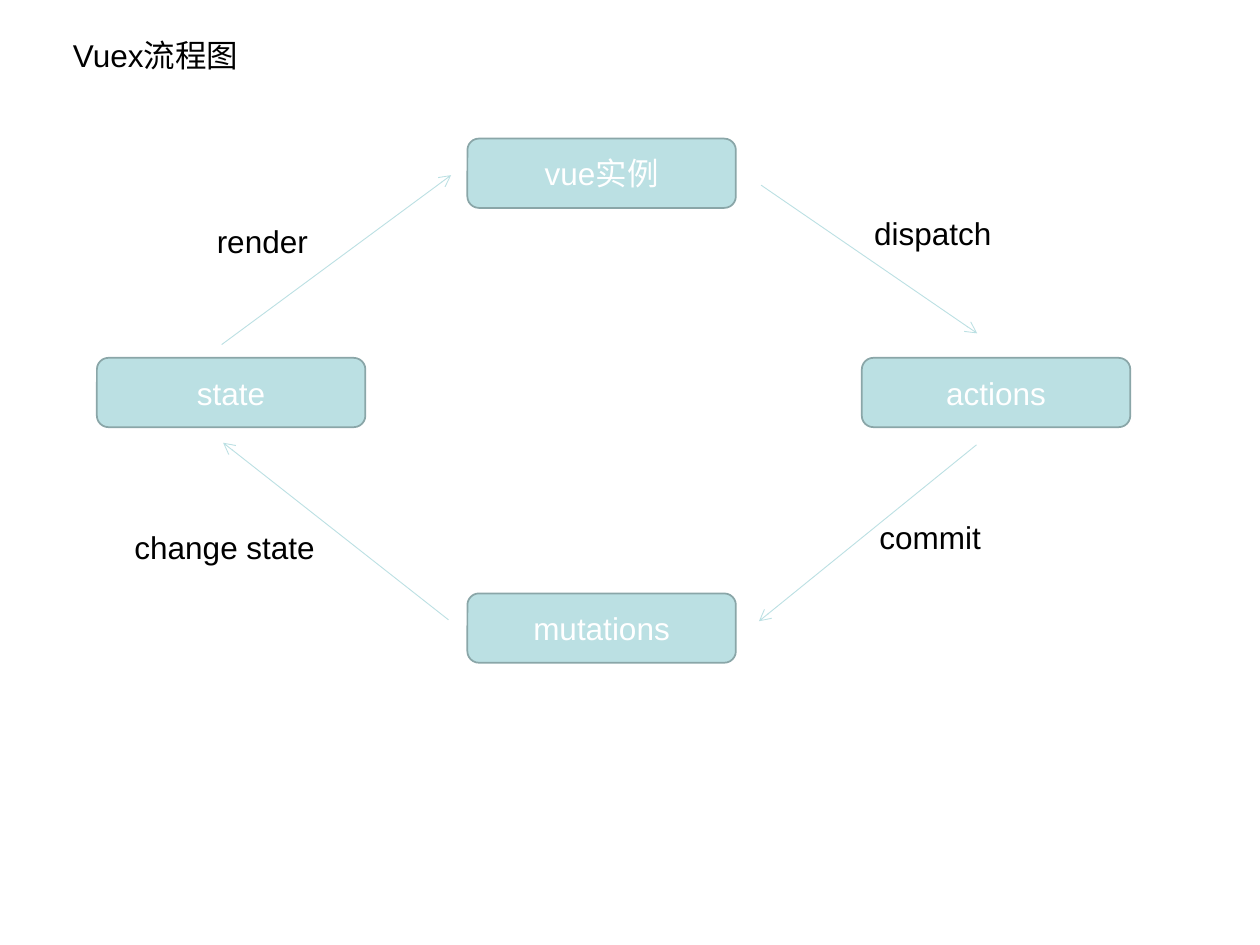
from typing import NamedTuple

from lxml import etree
from pptx import Presentation
from pptx.dml.color import RGBColor
from pptx.enum.shapes import MSO_CONNECTOR, MSO_SHAPE
from pptx.enum.text import MSO_ANCHOR, MSO_AUTO_SIZE, PP_ALIGN
from pptx.oxml.ns import qn
from pptx.shapes.autoshape import Shape
from pptx.slide import Slide
from pptx.util import Pt

ROUNDED = MSO_SHAPE.ROUNDED_RECTANGLE
STRAIGHT = MSO_CONNECTOR.STRAIGHT
MIDDLE, TOP = MSO_ANCHOR.MIDDLE, MSO_ANCHOR.TOP
CENTER, LEFT = PP_ALIGN.CENTER, PP_ALIGN.LEFT
FIT_SHAPE = MSO_AUTO_SIZE.SHAPE_TO_FIT_TEXT

BLACK = RGBColor(0x00, 0x00, 0x00)
WHITE = RGBColor(0xFF, 0xFF, 0xFF)
AQUA = RGBColor(0xBB, 0xE0, 0xE3)
BORDER = RGBColor(0x8A, 0xA6, 0xA8)

FONT = "Arial"
FONT_SIZE = 18
BOX_WIDTH, BOX_HEIGHT = 153.4, 39.6
LABEL_HEIGHT = 29
CENTER_LEFT, SIDE_TOP = 267.1, 204.5


class Box(NamedTuple):
    text: str
    left: float
    top: float


class Label(NamedTuple):
    text: str
    left: float
    top: float
    width: float


class Arrow(NamedTuple):
    start: tuple[float, float]
    end: tuple[float, float]


BOXES = [
    Box("vue实例", CENTER_LEFT, 79.2),
    Box("actions", 492.5, SIDE_TOP),
    Box("mutations", CENTER_LEFT, 339.1),
    Box("state", 55.4, SIDE_TOP),
]
LABELS = [
    Label("Vuex流程图", 34.6, 17.3, 444),
    Label("dispatch", 492.5, 118.8, 160),
    Label("commit", 495.4, 292.3, 177),
    Label("change state", 69.8, 298.1, 180),
    Label("render", 116.8, 123.1, 151),
]
ARROWS = [
    Arrow((434.9, 105.8), (558.4, 190.5)),
    Arrow((558, 254.2), (433.7, 355)),
    Arrow((256.3, 354.2), (127.5, 253)),
    Arrow((126.7, 196.9), (257.8, 100.1)),
]


def write_text(shape: Shape, text: str, *, color: RGBColor = BLACK,
               align: PP_ALIGN = LEFT, anchor: MSO_ANCHOR = TOP) -> None:
    frame = shape.text_frame
    frame.word_wrap = True
    frame.vertical_anchor = anchor
    paragraph = frame.paragraphs[0]
    paragraph.alignment = align
    run = paragraph.add_run()
    run.text = text
    run.font.name = FONT
    run.font.size = Pt(FONT_SIZE)
    run.font.color.rgb = color


def draw_box(slide: Slide, box: Box) -> None:
    shape = slide.shapes.add_shape(
        ROUNDED, Pt(box.left), Pt(box.top), Pt(BOX_WIDTH), Pt(BOX_HEIGHT))
    shape.shadow.inherit = False
    shape.fill.solid()
    shape.fill.fore_color.rgb = AQUA
    shape.line.color.rgb = BORDER
    shape.line.width = Pt(1)
    write_text(shape, box.text, color=WHITE, align=CENTER, anchor=MIDDLE)


def draw_label(slide: Slide, label: Label) -> None:
    shape = slide.shapes.add_textbox(
        Pt(label.left), Pt(label.top), Pt(label.width), Pt(LABEL_HEIGHT))
    write_text(shape, label.text)
    shape.text_frame.auto_size = FIT_SHAPE


def draw_arrow(slide: Slide, arrow: Arrow) -> None:
    """Draw a thin line with an open arrowhead at its end."""
    connector = slide.shapes.add_connector(
        STRAIGHT, *map(Pt, arrow.start), *map(Pt, arrow.end))
    connector.line.color.rgb = AQUA
    connector.line.width = Pt(0.5)
    properties = connector.element.spPr
    etree.SubElement(properties.find(qn("a:ln")), qn("a:tailEnd"), type="arrow")
    etree.SubElement(properties, qn("a:effectLst"))


def main() -> None:
    presentation = Presentation()
    presentation.slide_width, presentation.slide_height = Pt(720), Pt(540)
    slide = presentation.slides.add_slide(presentation.slide_layouts[6])
    for box in BOXES:
        draw_box(slide, box)
    for arrow in ARROWS:
        draw_arrow(slide, arrow)
    for label in LABELS:
        draw_label(slide, label)
    presentation.save("out.pptx")


if __name__ == "__main__":
    main()
